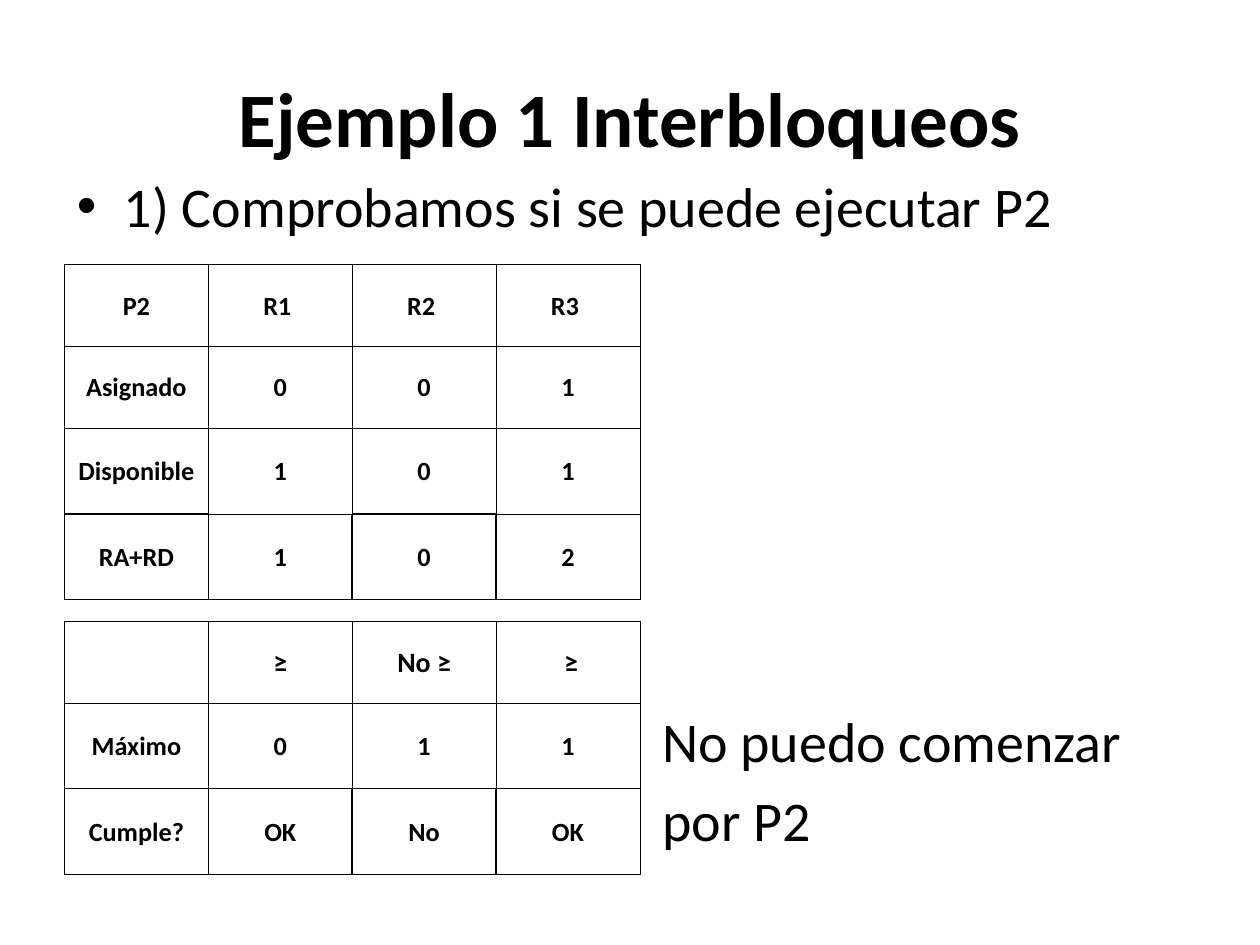
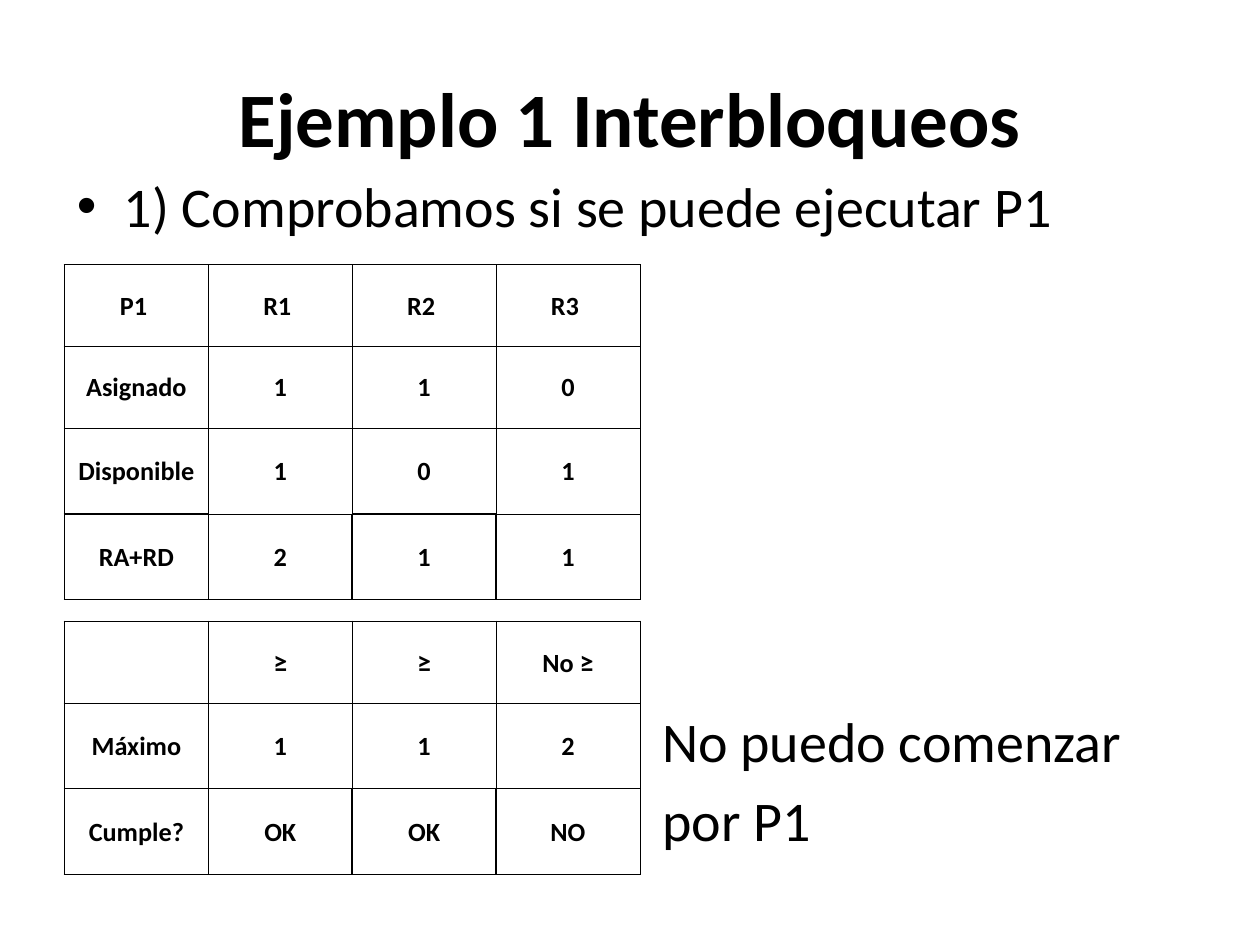
from lxml import etree
from pptx import Presentation
from pptx import util as u
from pptx.dml import color
from pptx.enum import text
from pptx.oxml import ns

INK = "000000"
FONT = "Calibri"
TITLE = "Ejemplo 1 Interbloqueos"
THIN, THICK = 0.5, 1

# Table geometry in cm
LEFT, COL_W = 1.3, 2.9
SHORT_ROW, TALL_ROW = 1.65, 1.73


def rgb(value):
    return color.RGBColor.from_string(value)


def assign(obj, values):
    for name, value in values.items():
        setattr(obj, name, value)


def box(*lengths):
    return [u.Cm(n) for n in lengths]


class Deck:
    def __init__(self):
        self.prs = Presentation()
        assign(self.prs, {"slide_width": u.Cm(25.4), "slide_height": u.Cm(19.05)})
        self.s = None

    def run(self, p, words, size, bold=False):
        r = p.add_run()
        r.text = words
        assign(r.font, {"name": FONT, "size": u.Pt(size), "bold": bold})
        r.font.color.rgb = rgb(INK)

    def slide(self, title):
        self.s = self.prs.slides.add_slide(self.prs.slide_layouts[5])
        sp = self.s.shapes.title
        place = zip(("left", "top", "width", "height"), box(1.27, 0.76, 22.86, 3.18))
        assign(sp, dict(place))
        tf = sp.text_frame
        tf.vertical_anchor = text.MSO_ANCHOR.MIDDLE
        p = tf.paragraphs[0]
        p.alignment = text.PP_ALIGN.CENTER
        self.run(p, title, 44, bold=True)

    def text(self, place, lines, bullet=False):
        tf = self.s.shapes.add_textbox(*box(*place)).text_frame
        tf.word_wrap = True
        for i, line in enumerate(lines):
            p = tf.paragraphs[0] if i == 0 else tf.add_paragraph()
            if i:
                p.space_before = u.Pt(6.4)
            if bullet:
                pPr = p._p.get_or_add_pPr()
                pPr.set("marL", str(u.Cm(0.95)))
                pPr.set("indent", str(u.Cm(-0.95)))
                etree.SubElement(pPr, ns.qn("a:buFont"), typeface="Arial")
                etree.SubElement(pPr, ns.qn("a:buChar"), char="•")
            self.run(p, line, 32)

    def border(self, cell, widths):
        tcPr = cell._tc.get_or_add_tcPr()
        for i, (side, width) in enumerate(zip("LRTB", widths)):
            ln = etree.Element(ns.qn("a:ln" + side), w=str(u.Pt(width)))
            fill = etree.SubElement(ln, ns.qn("a:solidFill"))
            etree.SubElement(fill, ns.qn("a:srgbClr"), val=INK)
            tcPr.insert(i, ln)

    def table(self, top, heights, rows):
        n, cols = len(rows), len(rows[0])
        sp = self.s.shapes.add_table(
            n, cols, *box(LEFT, top, cols * COL_W, sum(heights)))
        tbl = sp.table
        assign(tbl, {"first_row": False, "horz_banding": False})
        for column in tbl.columns:
            column.width = u.Cm(COL_W)
        for row, height in zip(tbl.rows, heights):
            row.height = u.Cm(height)

        # Border widths: vertical edges by row, horizontal edges by column
        vertical = [[THICK, THICK, THIN, THIN, THIN]] * (n - 1)
        vertical.append([THICK, THIN, THICK, THICK, THIN])
        horizontal = [[THIN] * cols] * (n - 1)
        horizontal += [[THICK, THIN, THICK, THIN], [THICK] * cols]

        for i, row in enumerate(rows):
            for j, words in enumerate(row):
                cell = tbl.cell(i, j)
                cell.fill.background()
                assign(cell, {
                    "margin_left": u.Cm(0.03), "margin_right": u.Cm(0.03),
                    "margin_top": u.Cm(0.03), "margin_bottom": 0,
                    "vertical_anchor": text.MSO_ANCHOR.MIDDLE})
                self.border(cell, (vertical[i][j], vertical[i][j + 1],
                                   horizontal[i][j], horizontal[i + 1][j]))
                p = cell.text_frame.paragraphs[0]
                p.alignment = text.PP_ALIGN.CENTER
                for part in words if isinstance(words, tuple) else (words,):
                    if part:
                        self.run(p, part, 16 if "≥" in part else 15, bold=True)


# Resource figures of each process
PROCESSES = [
    {"name": "P2", "head": "P2", "assigned": "001", "total": "102",
     "compare": ["≥", "No ≥", (" ", "≥")], "maximum": "011",
     "result": ["OK", "No", "OK"]},
    {"name": "P1", "head": "P1 ", "assigned": "110", "total": "211",
     "compare": ["≥", "≥", ("No ", "≥")], "maximum": "112",
     "result": ["OK", "OK", "NO"]},
]
AVAILABLE = "101"


def main():
    deck = Deck()
    for proc in PROCESSES:
        deck.slide(TITLE)
        deck.text((LEFT, 3.33, 22.6, 2.21),
                  [f"1) Comprobamos si se puede ejecutar {proc['name']}"],
                  bullet=True)
        # Assigned plus available resources
        deck.table(5.33, [SHORT_ROW] * 2 + [TALL_ROW] * 2, [
            [proc["head"], "R1 ", "R2 ", "R3 "],
            ["Asignado", *proc["assigned"]],
            ["Disponible", *AVAILABLE],
            ["RA+RD", *proc["total"]]])
        # Check against the maximum
        deck.table(12.52, [SHORT_ROW] + [TALL_ROW] * 2, [
            ["", *proc["compare"]],
            ["Máximo", *proc["maximum"]],
            ["Cumple?", *proc["result"]]])
        # Conclusion
        deck.text((13.1, 14.12, 11, 3.4),
                  ["No puedo comenzar", f"por {proc['name']}"])
    deck.prs.save("out.pptx")


if __name__ == "__main__":
    main()
